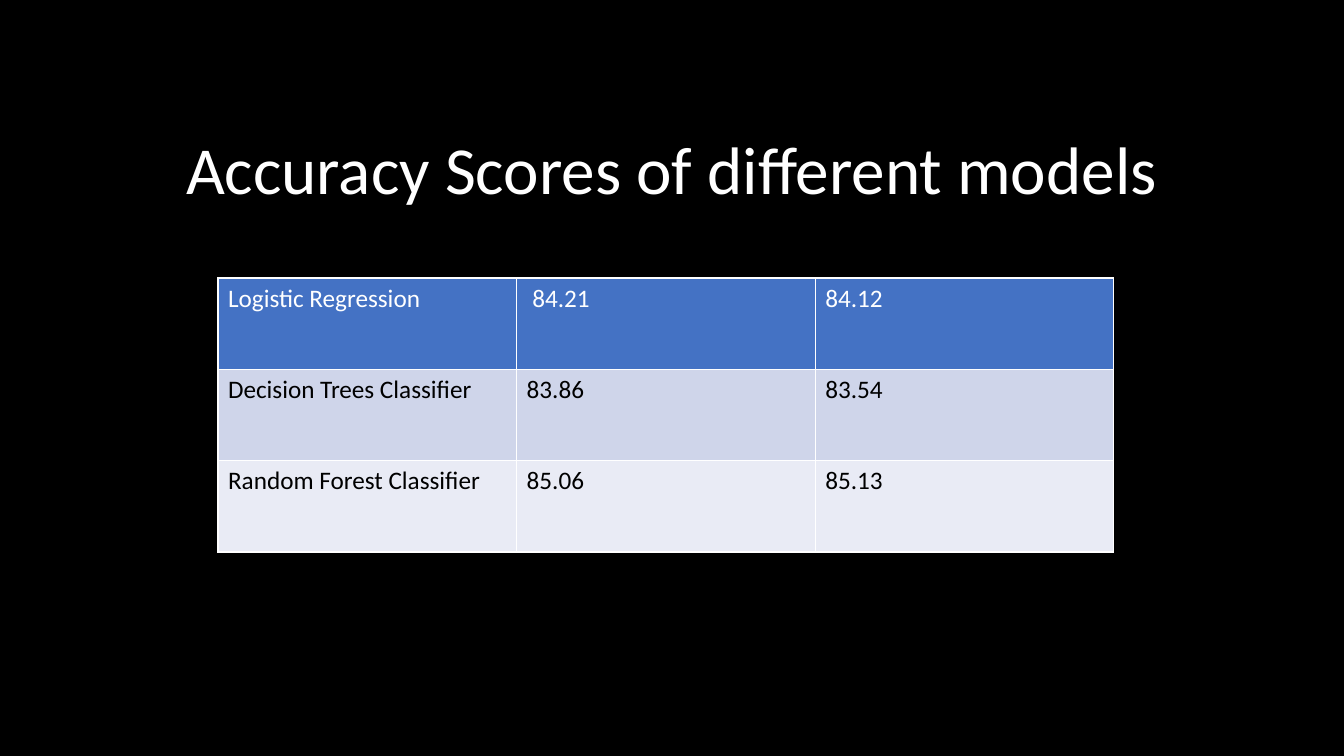
from lxml import etree
from pptx import Presentation
from pptx import util as u
from pptx.dml.color import RGBColor
from pptx.enum import text
from pptx.oxml import ns

SCALE = 914400 / 100.8
WHITE, BLACK = "FFFFFF", "000000"
SCORES = [
    ("Logistic Regression", " 84.21", "84.12"),
    ("Decision Trees Classifier", "83.86", "83.54"),
    ("Random Forest Classifier", "85.06", "85.13"),
]
ROW_STYLES = [("4472C4", WHITE), ("CFD5EA", BLACK), ("E9EBF5", BLACK)]


def px(length):
    return u.Emu(round(length * SCALE))


def paint(fill, color):
    fill.solid()
    fill.fore_color.rgb = RGBColor.from_string(color)


class SlideBuilder:
    """Draws styled elements on the current slide."""

    font = "Calibri"

    def __init__(self, page, background):
        self.page = page
        paint(page.background.fill, background)

    def add_span(self, para, words, size, color):
        span = para.add_run()
        span.text = words
        span.font.name = self.font
        span.font.size = u.Pt(size)
        span.font.bold = False
        paint(span.font.fill, color)

    def title(self, words, left, top, width, height, size, color):
        box = self.page.shapes.add_textbox(px(left), px(top), px(width), px(height))
        frame = box.text_frame
        frame.word_wrap = True
        frame.vertical_anchor = text.MSO_ANCHOR.BOTTOM
        para = frame.paragraphs[0]
        para.alignment = text.PP_ALIGN.CENTER
        para.line_spacing = 0.9
        self.add_span(para, words, size, color)

    def border(self, cell, color, points):
        properties = cell._tc.get_or_add_tcPr()
        for position, side in enumerate(("lnL", "lnR", "lnT", "lnB")):
            line = etree.Element(ns.qn(f"a:{side}"), w=str(u.Pt(points)))
            solid = etree.SubElement(line, ns.qn("a:solidFill"))
            etree.SubElement(solid, ns.qn("a:srgbClr"), val=color)
            properties.insert(position, line)

    def table(self, rows, styles, left, top, width, height, size):
        frame = self.page.shapes.add_table(
            len(rows), len(rows[0]), px(left), px(top), px(width), px(height))
        grid = frame.table
        grid.first_row = grid.horz_banding = False
        for row, values in enumerate(rows):
            fill, color = styles[row]
            for column, value in enumerate(values):
                cell = grid.cell(row, column)
                paint(cell.fill, fill)
                self.border(cell, WHITE, 1)
                self.add_span(cell.text_frame.paragraphs[0], value, size, color)


def main():
    deck = Presentation()
    deck.slide_width, deck.slide_height = px(1344), px(756)
    builder = SlideBuilder(deck.slides.add_slide(deck.slide_layouts[6]), BLACK)
    builder.title("Accuracy Scores of different models", 168, 56, 1008, 158, 48, WHITE)
    builder.table(SCORES, ROW_STYLES, 218, 278, 896, 274, 18)
    deck.save("out.pptx")


if __name__ == "__main__":
    main()
